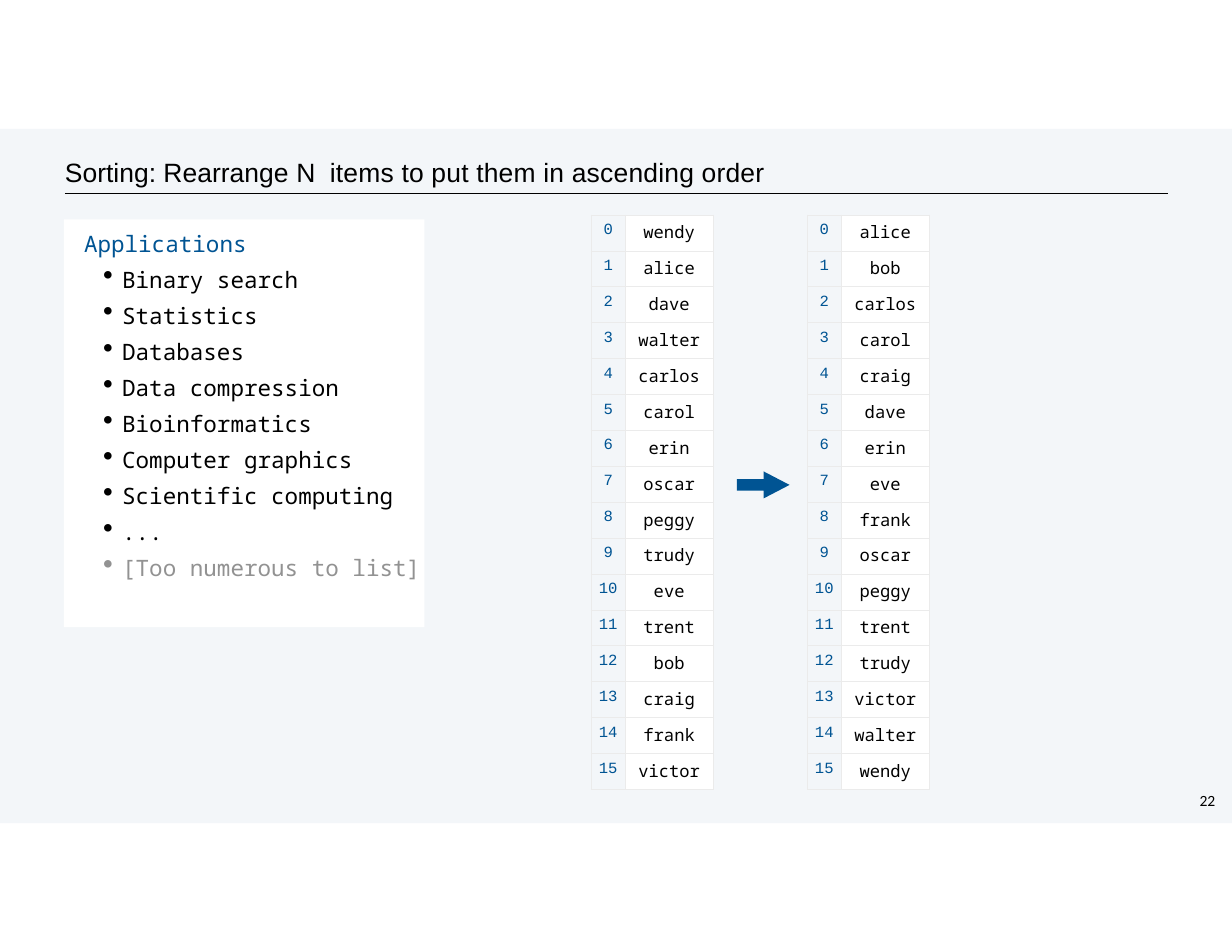
from lxml import etree
from pptx import Presentation
from pptx.dml.color import RGBColor
from pptx.enum.shapes import MSO_CONNECTOR, MSO_SHAPE
from pptx.enum.text import MSO_ANCHOR, PP_ALIGN
from pptx.oxml import parse_xml
from pptx.oxml.ns import nsdecls, qn
from pptx.util import Inches, Pt

BLACK = RGBColor(0x00, 0x00, 0x00)
WHITE = RGBColor(0xFF, 0xFF, 0xFF)
BLUE = RGBColor(0x00, 0x54, 0x93)
GRAY = RGBColor(0x92, 0x92, 0x92)
PALE = RGBColor(0xF3, 0xF6, 0xF9)
BORDER = RGBColor(0xEB, 0xEB, 0xEB)

TITLE_FORMAT = {"name": "Arial", "size": Pt(17)}
LIST_FORMAT = {"name": "Noto Sans Mono", "size": Pt(14.5)}
INDEX_FORMAT = {"name": "Courier New", "size": Pt(10)}
NAME_FORMAT = {"name": "Noto Sans Mono", "size": Pt(11)}
NUMBER_FORMAT = {"name": "Calibri", "size": Pt(10)}

APPLICATIONS = [
    "Binary search", "Statistics", "Databases", "Data compression",
    "Bioinformatics", "Computer graphics", "Scientific computing", "...",
    "[Too numerous to list]",
]
NAMES = [
    "wendy", "alice", "dave", "walter", "carlos", "carol", "erin", "oscar",
    "peggy", "trudy", "eve", "trent", "bob", "craig", "frank", "victor",
]


def add_run(paragraph, text, text_format, color):
    run = paragraph.add_run()
    run.text = text
    for attribute, value in text_format.items():
        setattr(run.font, attribute, value)
    run.font.color.rgb = color
    return run


def set_frame(frame, top_margin=0, wrap=True):
    """Remove the margins other than the top one and start the text at the top."""
    values = {
        "margin_left": 0, "margin_right": 0, "margin_bottom": 0,
        "margin_top": Inches(top_margin), "word_wrap": wrap,
        "vertical_anchor": MSO_ANCHOR.TOP,
    }
    for attribute, value in values.items():
        setattr(frame, attribute, value)


presentation = Presentation()
presentation.slide_width = Inches(11)
presentation.slide_height = Inches(8.5)
slide = presentation.slides.add_slide(presentation.slide_layouts[5])
shapes = slide.shapes
title = shapes.title

# Filled shapes: page panel, applications box, arrow
filled = []
for kind, left, top, width, height, color in [
    (MSO_SHAPE.RECTANGLE, 0, 1.15, 11, 6.2, PALE),
    (MSO_SHAPE.RECTANGLE, 0.57, 1.96, 3.22, 3.64, WHITE),
    (MSO_SHAPE.RIGHT_ARROW, 6.58, 4.21, 0.47, 0.24, BLUE),
]:
    shape = shapes.add_shape(
        kind, Inches(left), Inches(top), Inches(width), Inches(height))
    shape.shadow.inherit = False
    shape.fill.solid()
    shape.fill.fore_color.rgb = color
    shape.line.fill.background()
    filled.append(shape)
panel, applications_box, arrow = filled
arrow.adjustments[0] = 0.42
arrow.adjustments[1] = 0.96
title._element.addprevious(panel._element)

# Title and rule
title.left, title.top = Inches(0.58), Inches(1.37)
title.width, title.height = Inches(6.44), Inches(0.32)
set_frame(title.text_frame, 0.02, wrap=False)
paragraph = title.text_frame.paragraphs[0]
paragraph.alignment = PP_ALIGN.LEFT
for text, spacing in [("Sorting: Rearrange ", 0), ("N ", 230),
                      ("items to put them in ascending order", 10)]:
    run = add_run(paragraph, text, TITLE_FORMAT, BLACK)
    run.font._element.set("spc", str(spacing))

rule = shapes.add_connector(
    MSO_CONNECTOR.STRAIGHT, Inches(0.58), Inches(1.73), Inches(10.43), Inches(1.73))
rule.line.color.rgb = BLACK
rule.line.width = Pt(0.41)
etree.SubElement(rule._element.spPr, qn("a:effectLst"))

# Applications list
frame = applications_box.text_frame
set_frame(frame, 0.09)
paragraph = frame.paragraphs[0]
paragraph.alignment = PP_ALIGN.LEFT
paragraph._p.get_or_add_pPr().set("marL", str(Inches(0.18)))
add_run(paragraph, "Applications", LIST_FORMAT, BLUE)
for text in APPLICATIONS:
    paragraph = frame.add_paragraph()
    properties = paragraph._p.get_or_add_pPr()
    properties.set("marL", str(Inches(0.52)))
    properties.set("indent", str(Inches(-0.17)))
    etree.SubElement(properties, qn("a:buSzPct")).set("val", "128000")
    etree.SubElement(properties, qn("a:buChar")).set("char", "•")
    paragraph.alignment = PP_ALIGN.LEFT
    paragraph.space_before = Pt(5.75)
    add_run(paragraph, text, LIST_FORMAT, GRAY if text.startswith("[") else BLACK)

# Names before and after sorting
for left, names in [(5.28, NAMES), (7.21, sorted(NAMES))]:
    table = shapes.add_table(
        len(names), 2, Inches(left), Inches(1.92), Inches(1.09), Inches(5.13)).table
    table.first_row = table.horz_banding = False
    table.columns[0].width = Inches(0.3)
    table.columns[1].width = Inches(0.79)
    for index, name in enumerate(names):
        for column, (text, text_format, color, fill, top_margin) in enumerate([
            (str(index), INDEX_FORMAT, BLUE, PALE, 0.06),
            (name, NAME_FORMAT, BLACK, WHITE, 0.05),
        ]):
            cell = table.cell(index, column)
            set_frame(cell, top_margin)
            for side in ("lnL", "lnR", "lnT", "lnB"):
                cell._tc.get_or_add_tcPr().append(parse_xml(
                    f'<a:{side} {nsdecls("a")} w="{Pt(0.5)}"><a:solidFill>'
                    f'<a:srgbClr val="{BORDER}"/></a:solidFill></a:{side}>'))
            cell.fill.solid()
            cell.fill.fore_color.rgb = fill
            paragraph = cell.text_frame.paragraphs[0]
            paragraph.alignment = PP_ALIGN.CENTER
            add_run(paragraph, text, text_format, color)

# Slide number
number_box = shapes.add_textbox(
    Inches(10.71), Inches(7.06), Inches(0.19), Inches(0.19))
set_frame(number_box.text_frame, wrap=True)
add_run(number_box.text_frame.paragraphs[0], "22", NUMBER_FORMAT, BLACK)

presentation.save("out.pptx")
